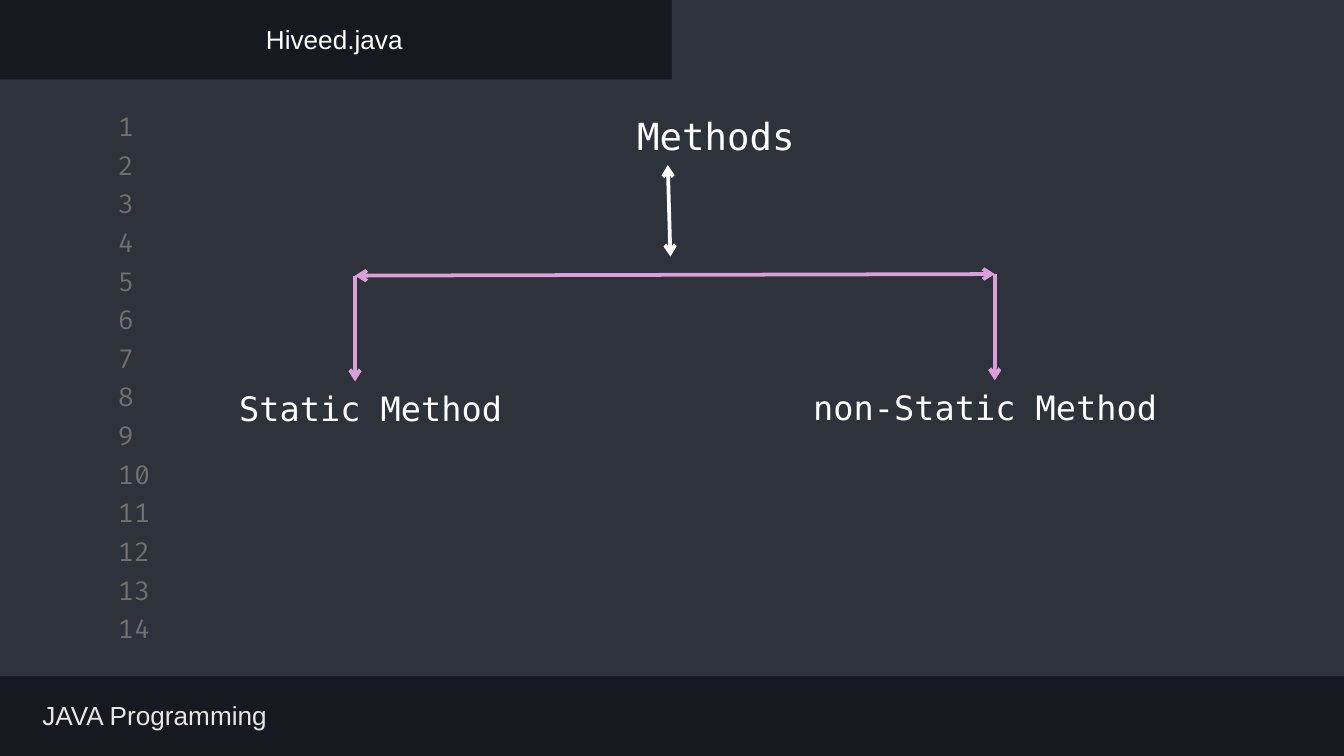
from lxml.etree import SubElement
from pptx import Presentation
from pptx.dml.color import RGBColor
from pptx.enum.shapes import MSO_CONNECTOR, MSO_SHAPE
from pptx.enum.text import MSO_ANCHOR, MSO_AUTO_SIZE, PP_ALIGN
from pptx.oxml.ns import qn
from pptx.util import Cm, Pt


def rgb(value):
    return RGBColor.from_string(value)


class EditorSlide:
    """Draw a code-editor themed slide with one style."""

    DARK, PANEL = "16191F", "2E323B"
    WHITE, GREY, PALE, PINK = "FFFFFF", "707070", "E7E7E7", "DBA0DB"
    UI, CODE, LABEL = "Arial", "Fira Code", "DejaVu Sans Mono"

    def __init__(self, prs):
        self.s = prs.slides.add_slide(prs.slide_layouts[6])
        fill = self.s.background.fill
        fill.solid()
        fill.fore_color.rgb = rgb(self.DARK)

    def panel(self, *box):
        sp = self.s.shapes.add_shape(MSO_SHAPE.RECTANGLE, *map(Cm, box))
        sp.shadow.inherit = False
        sp.fill.solid()
        sp.fill.fore_color.rgb = rgb(self.PANEL)
        sp.line.fill.background()

    def text(self, words, box, font, size, color, align=PP_ALIGN.LEFT, **frame):
        sp = self.s.shapes.add_textbox(*map(Cm, box))
        tf = sp.text_frame
        for name, value in {"word_wrap": True, **frame}.items():
            setattr(tf, name, value)
        p = tf.paragraphs[0]
        p.alignment = align
        r = p.add_run()
        r.text = words
        for name, value in {"name": font, "size": Pt(size)}.items():
            setattr(r.font, name, value)
        r.font.color.rgb = rgb(color)
        return sp

    def bar_text(self, words, box, font, color, align=PP_ALIGN.LEFT, left=0.25):
        frame = {f"margin_{side}": Cm(0.25) for side in ("top", "right", "bottom")}
        frame.update(margin_left=Cm(left), vertical_anchor=MSO_ANCHOR.MIDDLE)
        return self.text(words, box, font, 14, color, align, **frame)

    def label(self, words, box, size, left=0.25):
        return self.text(words, box, self.LABEL, size, self.WHITE,
                         margin_left=Cm(left), auto_size=MSO_AUTO_SIZE.SHAPE_TO_FIT_TEXT)

    def arrow(self, start, end, color, ends=("tailEnd",)):
        c = self.s.shapes.add_connector(MSO_CONNECTOR.STRAIGHT, *map(Cm, start + end))
        c.line.color.rgb = rgb(color)
        c.line.width = Pt(2)
        ln = c.line._get_or_add_ln()
        for tag in ends:
            SubElement(ln, qn(f"a:{tag}"), type="arrow")
        SubElement(c._element.spPr, qn("a:effectLst"))
        return c


def main():
    prs = Presentation()
    prs.slide_width, prs.slide_height = Cm(25.4), Cm(14.29)
    slide = EditorSlide(prs)

    slide.panel(0, 1.5, 25.4, 11.28)
    slide.panel(12.7, 0, 12.7, 1.65)
    for row in range(14):
        slide.bar_text(str(row + 1), (1.98, 2.08 + 0.73 * row, 1.19, 0.61),
                       slide.CODE, slide.GREY)

    slide.bar_text("Hiveed.java", (-0.03, 0.25, 12.7, 0.99), slide.UI, slide.WHITE,
                   PP_ALIGN.CENTER)
    slide.bar_text("JAVA Programming", (0.41, 13.03, 13.51, 0.99), slide.UI, slide.PALE,
                   left=0.39)

    slide.label("Methods", (8.81, 2.01, 8.86, 1.12), 20, left=3.23)
    slide.label("Static Method", (4.27, 7.21, 6.27, 1.02), 18)
    non_static = slide.label("non-Static Method", (15.12, 7.19, 7.36, 1.02), 18)

    both = ("headEnd", "tailEnd")
    left, right = (6.71, 5.21), (18.8, 5.18)
    slide.arrow((12.62, 3.12), (12.67, 4.85), slide.WHITE, both)
    slide.arrow(left, right, slide.PINK, both)
    slide.arrow(left, (6.71, 7.21), slide.PINK)
    slide.arrow(right, (18.8, 7.19), slide.PINK).end_connect(non_static, 0)

    prs.save("out.pptx")


if __name__ == "__main__":
    main()
